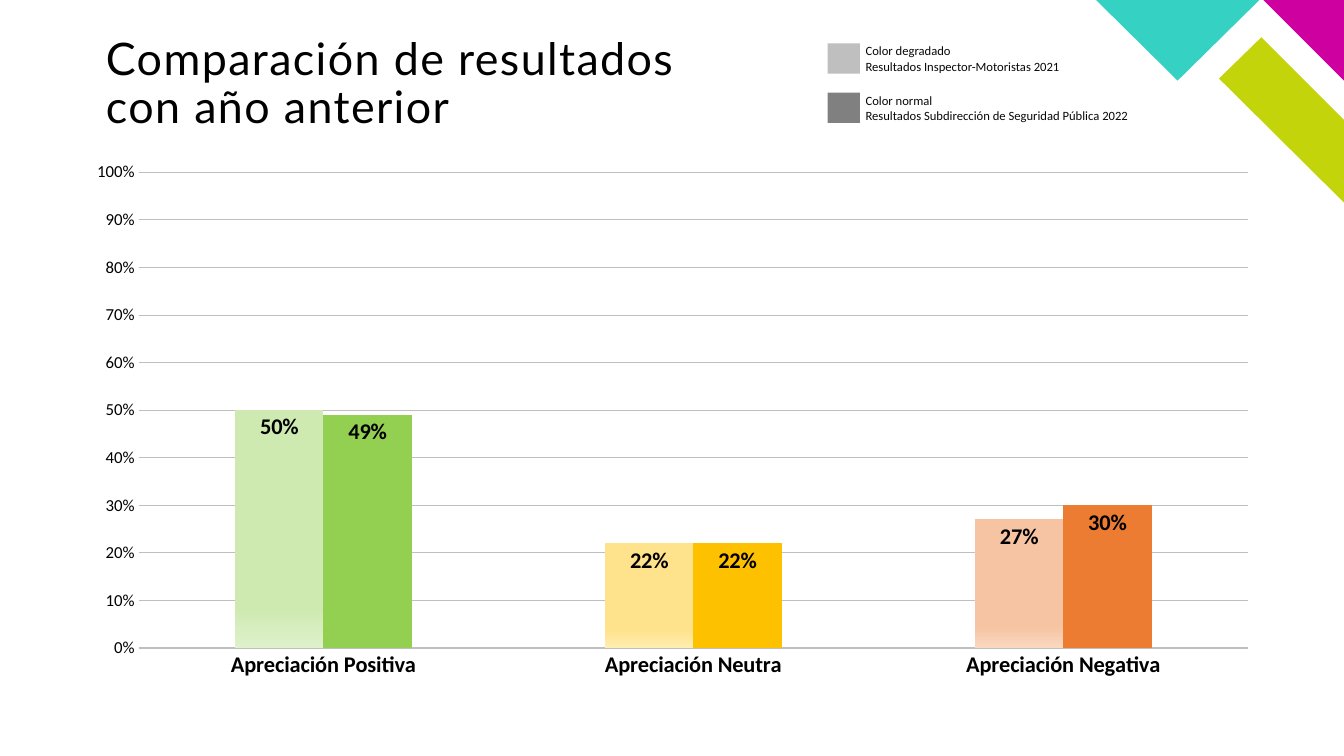
from dataclasses import dataclass

from lxml import etree
from pptx import Presentation
from pptx.chart.data import CategoryChartData
from pptx.dml.color import RGBColor
from pptx.enum.chart import XL_CHART_TYPE, XL_LABEL_POSITION, XL_TICK_MARK
from pptx.enum.shapes import MSO_SHAPE
from pptx.enum.text import MSO_ANCHOR, MSO_AUTO_SIZE, PP_ALIGN
from pptx.oxml.ns import qn
from pptx.util import Inches, Pt

COLUMNS = XL_CHART_TYPE.COLUMN_CLUSTERED
INSIDE_END = XL_LABEL_POSITION.INSIDE_END
NO_TICK = XL_TICK_MARK.NONE
RECTANGLE = MSO_SHAPE.RECTANGLE
TOP = MSO_ANCHOR.TOP
LEFT = PP_ALIGN.LEFT
NO_FIT, GROW = MSO_AUTO_SIZE.NONE, MSO_AUTO_SIZE.SHAPE_TO_FIT_TEXT


@dataclass(frozen=True)
class Theme:
    """Fonts, type sizes and colours of the slide."""
    heading: str = "Lato"
    body: str = "Calibri"
    title_size: float = 32
    category_size: float = 16
    scale_size: float = 12
    chart_size: float = 10
    key_size: float = 9
    ink: str = "000000"
    key_ink: str = "07080B"
    rule: str = "BFBFBF"
    dark_key: str = "808080"
    teal: str = "35D2C4"
    magenta: str = "CE009F"
    lime: str = "C4D40A"
    faded: tuple = (("CEEAB1", "DFF1CB"), ("FFE38C", "FFEDB2"), ("F6C4A2", "F9D8C1"))
    solid: tuple = ("93D051", "FEC100", "EC7C31")


THEME = Theme()


@dataclass(frozen=True)
class Box:
    """A rectangle that hands out areas of itself by percentage."""
    left: int
    top: int
    width: int
    height: int

    def position(self, x, y):
        """Return the position at x and y percent of the box."""
        return int(self.left + self.width * x / 100), int(self.top + self.height * y / 100)

    def area(self, x, y, width, height):
        """Return the box that takes the given percentages of this one."""
        return Box(*self.position(x, y), int(self.width * width / 100), int(self.height * height / 100))

    def frame(self):
        """Return left, top, width and height."""
        return self.left, self.top, self.width, self.height


def assign(target, values):
    """Set each named attribute of the target."""
    for name, value in values.items():
        setattr(target, name, value)


def set_font(font, name, size, color, bold=False):
    """Format a font."""
    assign(font, {"name": name, "size": Pt(size), "bold": bold})
    font.color.rgb = RGBColor.from_string(color)


def set_fill(fill, color):
    """Fill with one colour."""
    fill.solid()
    fill.fore_color.rgb = RGBColor.from_string(color)


def set_line(line, color, width):
    """Draw a line in one colour and width."""
    set_fill(line.fill, color)
    line.width = Pt(width)


def paint(shape, color):
    """Give a shape a flat fill without outline or shadow."""
    shape.shadow.inherit = False
    set_fill(shape.fill, color)
    shape.line.fill.background()


def add_corner(slide, box):
    """Draw the coloured polygons of the slide corner."""
    polygons = (
        (THEME.lime, ((100, 100), (100, 59.2), (66.7, 18.4), (49.6, 38.8))),
        (THEME.magenta, ((100, 39.8), (100, 0), (67.5, 0))),
        (THEME.teal, ((0, 0), (32.9, 39.8), (65.9, 0))),
    )
    for color, corners in polygons:
        start, *others = [box.position(*corner) for corner in corners]
        outline = slide.shapes.build_freeform(*start)
        outline.add_line_segments(others, close=True)
        paint(outline.convert_to_shape(), color)


def add_title(slide, box):
    """Place and format the slide title."""
    title = slide.shapes.title
    assign(title, dict(zip(("left", "top", "width", "height"), box.frame())))
    assign(title.text_frame, {
        "text": "Comparación de resultados con año anterior",
        "margin_left": 0, "margin_top": 0, "margin_right": 0, "margin_bottom": 0,
        "vertical_anchor": TOP, "word_wrap": True, "auto_size": NO_FIT,
    })
    heading = title.text_frame.paragraphs[0]
    assign(heading, {"alignment": LEFT, "line_spacing": 0.9})
    wording = heading.runs[0]
    set_font(wording.font, THEME.heading, THEME.title_size, THEME.ink)
    wording.font._element.set("spc", "100")


def add_key(slide, box):
    """Explain the faded and the solid columns, one entry per row."""
    entries = (
        (THEME.rule, "Color degradado\nResultados Inspector-Motoristas 2021"),
        (THEME.dark_key, "Color normal\nResultados Subdirección de Seguridad Pública 2022"),
    )
    for row, (color, wording) in enumerate(entries):
        entry = box.area(0, row * 55.06, 100, 44.94)
        swatch = slide.shapes.add_shape(RECTANGLE, *entry.area(0, 12.5, 7.8, 75).frame())
        paint(swatch, color)
        label = slide.shapes.add_textbox(*entry.area(6.75, 0, 93.25, 100).frame()).text_frame
        assign(label, {"text": wording, "word_wrap": True, "auto_size": GROW})
        for paragraph in label.paragraphs:
            set_font(paragraph.font, THEME.body, THEME.key_size, THEME.key_ink)


def fix_plot(chart, **shares):
    """Fix the inner plot area at shares of the chart."""
    plot_area = chart._chartSpace.chart.plotArea
    layout = plot_area.find(qn("c:layout"))
    if layout is None:
        layout = etree.Element(qn("c:layout"))
        plot_area.insert(0, layout)
    manual = etree.SubElement(layout, qn("c:manualLayout"))
    settings = {"layoutTarget": "inner", "xMode": "edge", "yMode": "edge", **shares}
    for name, value in settings.items():
        etree.SubElement(manual, qn(f"c:{name}")).set("val", str(value))


def format_axes(chart):
    """Format the category axis and the percentage scale."""
    categories, scale = chart.category_axis, chart.value_axis
    for axis in (categories, scale):
        assign(axis, {"major_tick_mark": NO_TICK, "minor_tick_mark": NO_TICK})
    set_font(categories.tick_labels.font, THEME.body, THEME.category_size, THEME.ink, True)
    set_line(categories.format.line, THEME.rule, 0.75)
    assign(scale, {"minimum_scale": 0, "maximum_scale": 1, "major_unit": 0.1})
    assign(scale.tick_labels, {"number_format": "0%", "number_format_is_linked": False})
    set_font(scale.tick_labels.font, THEME.body, THEME.scale_size, THEME.ink)
    scale.format.line.fill.background()
    set_line(scale.major_gridlines.format.line, THEME.rule, 0.5)


def color_columns(previous, current):
    """Fade the columns of the previous year and fill the current ones."""
    for index, (shades, color) in enumerate(zip(THEME.faded, THEME.solid)):
        fade = previous.points[index].format.fill
        fade.gradient()
        fade.gradient_angle = 270
        for stop, position, shade in zip(fade.gradient_stops, (0.83, 1), shades):
            stop.position = position
            stop.color.rgb = RGBColor.from_string(shade)
        set_fill(current.points[index].format.fill, color)


def add_comparison(slide, box):
    """Chart the results of both years side by side."""
    results = CategoryChartData(number_format="0%")
    results.categories = ["Apreciación Positiva", "Apreciación Neutra", "Apreciación Negativa"]
    results.add_series("2021", (0.5, 0.22, 0.27))
    results.add_series("2022", (0.49, 0.22, 0.3))
    chart = slide.shapes.add_chart(COLUMNS, *box.frame(), results).chart
    assign(chart, {"has_legend": False, "has_title": False})
    set_font(chart.font, THEME.body, THEME.chart_size, THEME.ink)
    fix_plot(chart, x=0.055, y=0.039, w=0.925, h=0.884)
    format_axes(chart)
    plot = chart.plots[0]
    assign(plot, {"gap_width": 219, "overlap": 0, "vary_by_categories": False})
    color_columns(*plot.series)
    for year in plot.series:
        labels = year.data_labels
        assign(labels, {"show_value": True, "position": INSIDE_END,
                        "number_format": "0%", "number_format_is_linked": False})
        set_font(labels.font, THEME.body, THEME.category_size, THEME.ink, True)


def main():
    """Build the slide and save it."""
    deck = Presentation()
    assign(deck, {"slide_width": Inches(13.33), "slide_height": Inches(7.5)})
    page = Box(0, 0, deck.slide_width, deck.slide_height)
    slide = deck.slides.add_slide(deck.slide_layouts[5])
    add_corner(slide, page.area(81.55, 0, 18.45, 26.8))
    add_comparison(slide, page.area(5.4, 20, 89.27, 71.2))
    add_key(slide, page.area(61.59, 5.07, 30.76, 11.87))
    add_title(slide, page.area(7.88, 4.8, 44.41, 15.2))
    deck.save("out.pptx")


if __name__ == "__main__":
    main()
